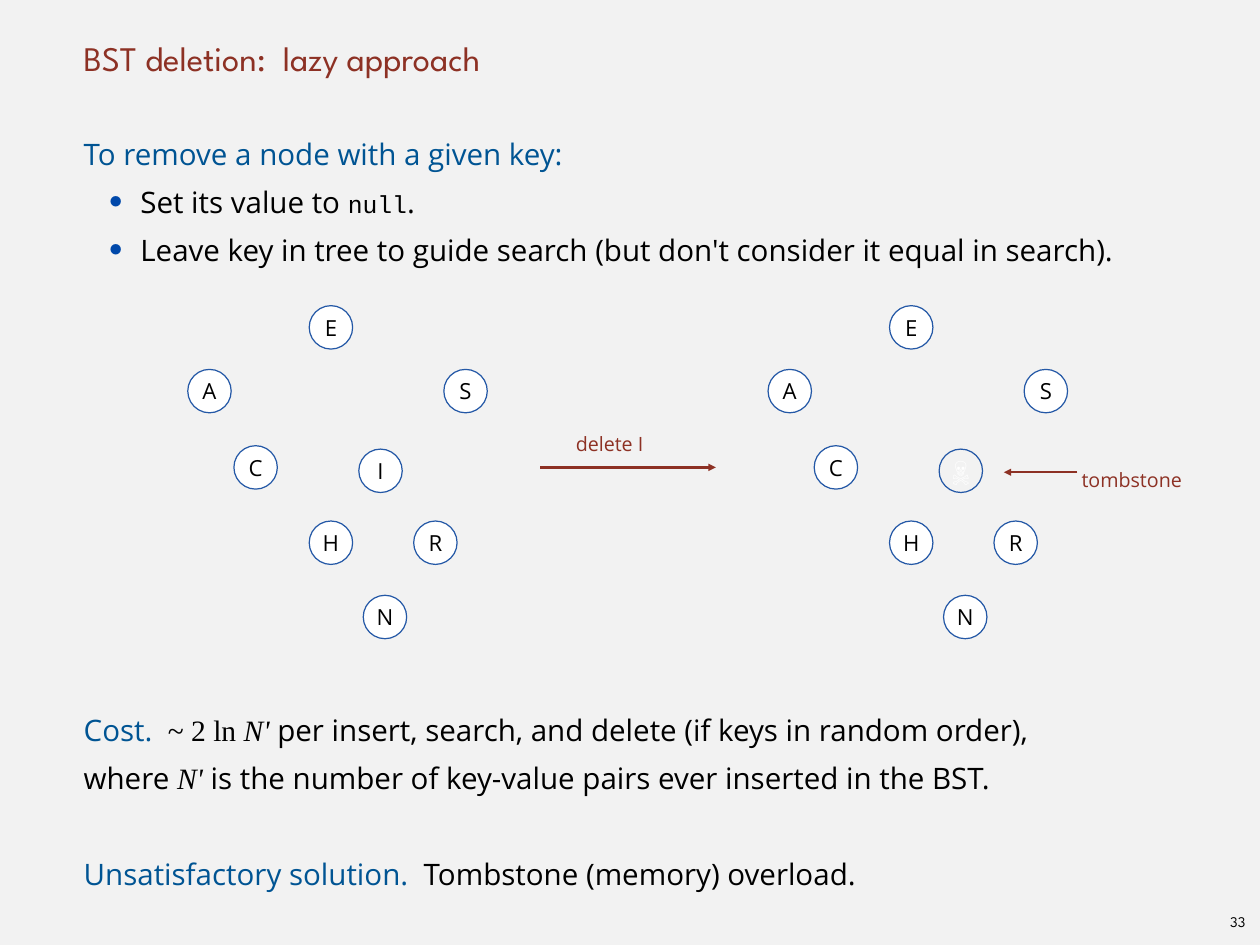
import pptx
import pptx.dml.color
import pptx.enum.shapes
import pptx.enum.text
import pptx.oxml.ns
import pptx.util
from lxml import etree

Pt = pptx.util.Pt
qn = pptx.oxml.ns.qn
ALIGN = pptx.enum.text.PP_ALIGN
ANCHOR = pptx.enum.text.MSO_ANCHOR
RED, BLUE, BLACK, WHITE = "8D3124", "005493", "000000", "FFFFFF"
SANS, SERIF, MONO, DISPLAY = "Open Sans", "Times New Roman", "Courier New", "League Spartan"


def paint(color_format, hex_color):
    color_format.rgb = pptx.dml.color.RGBColor.from_string(hex_color)


def write(paragraph, text, size, font, color, italic=False, bold=False):
    run = paragraph.add_run()
    run.text = text
    run.font.size = Pt(size)
    run.font.name = font
    run.font.italic = italic
    run.font.bold = bold
    paint(run.font.color, color)


deck = pptx.Presentation()
deck.slide_width, deck.slide_height = Pt(1024), Pt(768)
slide = deck.slides.add_slide(deck.slide_layouts[1])
slide.background.fill.solid()
paint(slide.background.fill.fore_color, "F2F2F2")

heading = slide.shapes.title
explanation = slide.placeholders[1]
for part, top, height, anchor in [(heading, 0, 64, ANCHOR.BOTTOM), (explanation, 100, 640, ANCHOR.TOP)]:
    part.left, part.top, part.width, part.height = Pt(64), Pt(top), Pt(896), Pt(height)
    frame = part.text_frame
    frame.auto_size = pptx.enum.text.MSO_AUTO_SIZE.NONE
    frame.vertical_anchor = anchor
    frame.margin_left = frame.margin_top = frame.margin_right = frame.margin_bottom = 0

title_line = heading.text_frame.paragraphs[0]
title_line.alignment = ALIGN.LEFT
title_line._p.get_or_add_pPr().set("marL", str(Pt(4)))
write(title_line, "BST deletion:  lazy approach", 28, DISPLAY, RED)

statements = [
    (0, 0, [("To remove a node with a given key:", 24, SANS, BLUE)]),
    (1, 0, [("Set its value to ", 24, SANS, BLACK), ("null", 20, MONO, BLACK), (".", 24, SANS, BLACK)]),
    (1, 0, [("Leave key in tree to guide search (but don't consider it equal in search).", 24, SANS, BLACK)]),
    (0, 9, [
        ("Cost.  ", 24, SANS, BLUE),
        ("~ 2 ln", 24, SERIF, BLACK),
        (" N'", 24, SERIF, BLACK, True),
        (" per insert, search, and delete (if keys in random order),", 24, SANS, BLACK),
        None,
        ("where ", 24, SANS, BLACK),
        ("N'", 24, SERIF, BLACK, True),
        (" is the number of key-value pairs ever inserted in the BST.", 24, SANS, BLACK),
    ]),
    (0, 1, [
        ("Unsatisfactory solution.  ", 24, SANS, BLUE),
        ("Tombstone (memory) overload.", 24, SANS, BLACK),
    ]),
]
line_pitch = 39
for index, (level, lines_before, pieces) in enumerate(statements):
    body = explanation.text_frame
    statement = body.add_paragraph() if index else body.paragraphs[0]
    statement.level = level
    statement.alignment = ALIGN.LEFT
    statement.line_spacing = Pt(line_pitch)
    statement.space_before = Pt(lines_before * line_pitch)
    properties = statement._p.get_or_add_pPr()
    properties.set("marL", str(Pt(50 if level else 4)))
    properties.set("indent", str(Pt(-40 if level else 0)))
    if level:
        bullet_color = etree.SubElement(properties, qn("a:buClr"))
        etree.SubElement(bullet_color, qn("a:srgbClr"), val="0048AA")
        etree.SubElement(properties, qn("a:buSzPct"), val="167000")
        etree.SubElement(properties, qn("a:buFont"), typeface=SANS)
        etree.SubElement(properties, qn("a:buChar"), char="・")
    else:
        etree.SubElement(properties, qn("a:buNone"))
    for piece in pieces:
        if piece:
            write(statement, *piece)
        else:
            statement.add_line_break()

labels = [
    ("delete I", 468, 341.3, 92, 34, 16, SANS, RED, 1.5, ALIGN.LEFT),
    ("tombstone", 879, 370.8, 93, 26, 16, SANS, RED, 1.5, ALIGN.LEFT),
    ("33", 993.5, 742, 25, 15, 12, DISPLAY, BLACK, 1, ALIGN.CENTER),
]
for text, left, top, width, height, size, font, color, spacing, alignment in labels:
    frame = slide.shapes.add_textbox(Pt(left), Pt(top), Pt(width), Pt(height)).text_frame
    frame.word_wrap = True
    frame.margin_left = frame.margin_top = frame.margin_right = frame.margin_bottom = 0
    label = frame.paragraphs[0]
    label.alignment = alignment
    label.line_spacing = spacing
    write(label, text, size, font, color)

tree = [
    ("E", 251.3, 248.4), ("A", 152.6, 300.2), ("S", 360.7, 300.2), ("C", 190.1, 362.2),
    ("I", 291.6, 365), ("H", 251.3, 423.4), ("R", 336.2, 423.4), ("N", 295.2, 483.8),
]
diameter = 35.3
for shift, deleted_key in [(0, None), (471.6, "I")]:
    for key, left, top in tree:
        node = slide.shapes.add_shape(
            pptx.enum.shapes.MSO_SHAPE.OVAL, Pt(left + shift), Pt(top), Pt(diameter), Pt(diameter))
        node.shadow.inherit = False
        node.line.width = Pt(1)
        paint(node.line.color, "2458A6")
        frame = node.text_frame
        frame.word_wrap = False
        frame.vertical_anchor = ANCHOR.MIDDLE
        frame.margin_left = frame.margin_top = frame.margin_right = frame.margin_bottom = 0
        frame.paragraphs[0].alignment = ALIGN.CENTER
        if key == deleted_key:
            node.fill.background()
            write(frame.paragraphs[0], "☠", 20, MONO, WHITE, bold=True)
        else:
            node.fill.solid()
            paint(node.fill.fore_color, WHITE)
            write(frame.paragraphs[0], key, 18, SANS, BLACK)

for start, end, height, weight in [(439, 581.8, 379.8, 2), (875.5, 815.8, 383.8, 1.5)]:
    arrow = slide.shapes.add_connector(
        pptx.enum.shapes.MSO_CONNECTOR.STRAIGHT, Pt(start), Pt(height), Pt(end), Pt(height))
    arrow.line.width = Pt(weight)
    paint(arrow.line.color, RED)
    etree.SubElement(arrow.line._get_or_add_ln(), qn("a:tailEnd"), type="triangle")
    etree.SubElement(arrow._element.spPr, qn("a:effectLst"))

deck.save("out.pptx")
